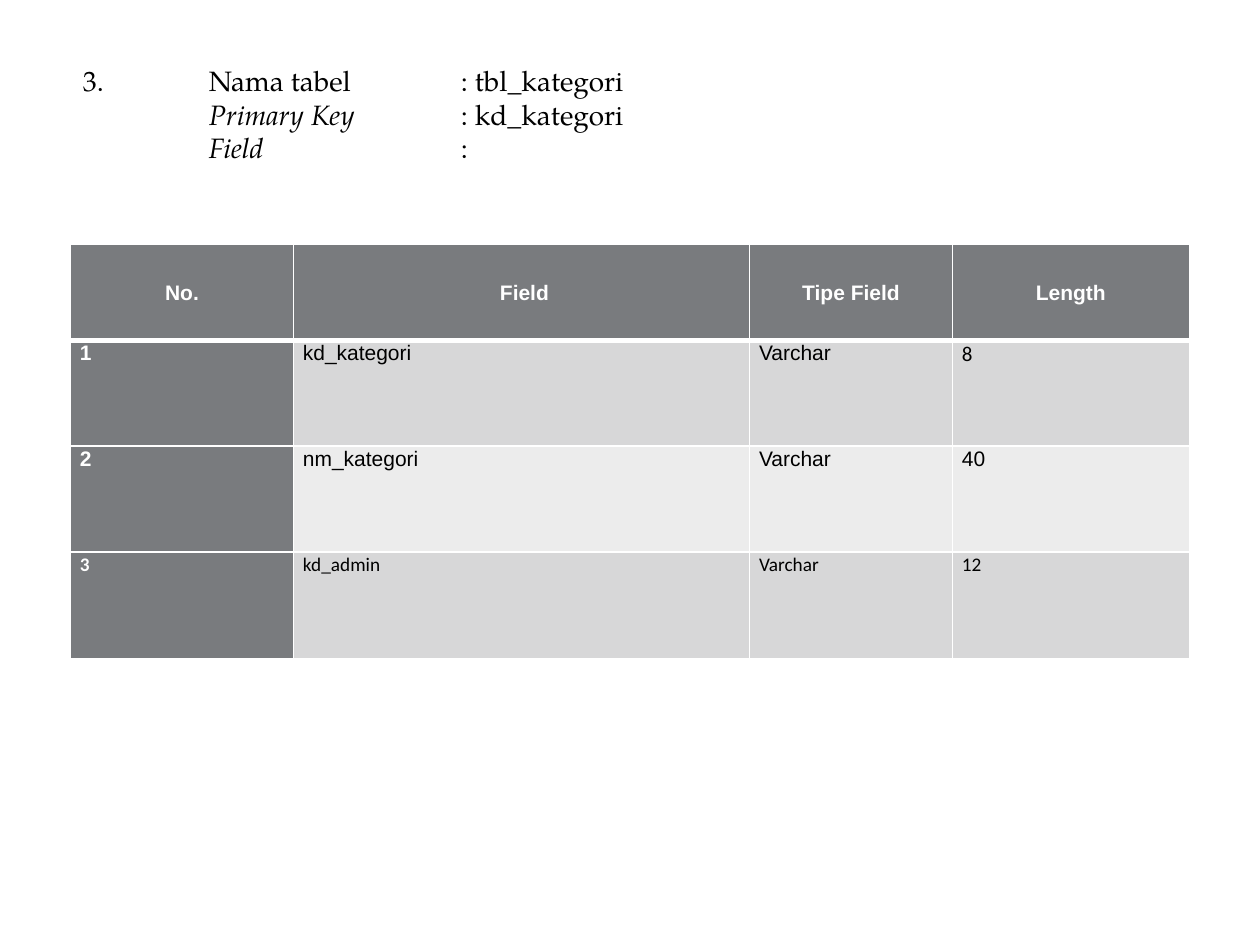
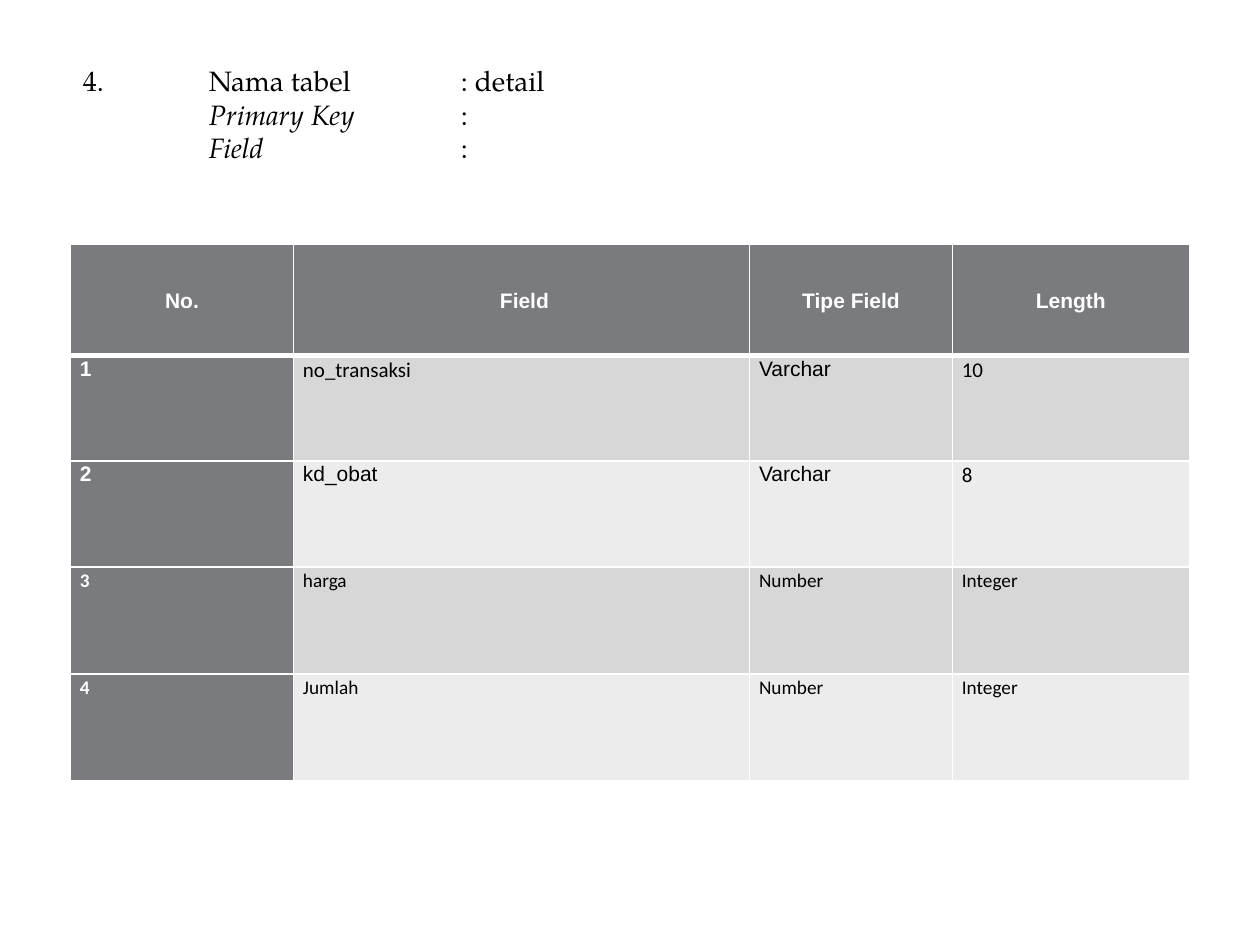
"""Build two slides that describe the fields of database tables."""
import lxml.etree
import pptx
import pptx.dml.color
import pptx.enum.text
import pptx.oxml.ns
import pptx.util

Inches = pptx.util.Inches
Align = pptx.enum.text.PP_ALIGN
Anchor = pptx.enum.text.MSO_ANCHOR
qn = pptx.oxml.ns.qn

WHITE, BLACK, GREY = "FFFFFF", "000000", "797B7E"
BANDS = ["D7D7D8", "ECECEC"]
LEFT, WIDTH = 0.56, 8.88
COLUMN_WIDTHS = [1.77, 3.62, 1.61, 1.88]
TAB_STOPS = [1, 3]
HEADINGS = ["No.", " Field", "Tipe Field", "Length"]
FONTS = {"A": "Arial", "C": "Calibri"}

TABLES = [
    {
        "number": "3.", "name": " tbl_kategori", "key": " kd_kategori",
        "row_heights": [0.76, 0.84, 0.84, 0.85],
        "fields": [
            ("AAAC", 12, ["1", "kd_kategori", "Varchar", "8"]),
            ("AAAA", 12, ["2", "nm_kategori", "Varchar", "40"]),
            ("CCCC", 11, ["3", "kd_admin", "Varchar", "12"]),
        ],
    },
    {
        "number": "4.", "name": " detail", "key": "",
        "row_heights": [0.88, 0.84, 0.84, 0.85, 0.85],
        "fields": [
            ("ACAC", 12, ["1", "no_transaksi", "Varchar", "10"]),
            ("AAAC", 12, ["2", "kd_obat", "Varchar", "8"]),
            ("CCCC", 11, ["3", "harga", "Number", "Integer"]),
            ("CCCC", 11, ["4", "Jumlah", "Number", "Integer"]),
        ],
    },
]


def color(value):
    return pptx.dml.color.RGBColor.from_string(value)


def add_text(para, text, font="TeX Gyre Pagella", size=16, fill=BLACK, bold=False, italic=False):
    span = para.add_run()
    span.text = text
    span.font.name = font
    span.font.size = pptx.util.Pt(size)
    span.font.color.rgb = color(fill)
    span.font.bold = bold
    span.font.italic = italic


deck = pptx.Presentation()
deck.slide_width, deck.slide_height = Inches(10), Inches(7.5)

for table in TABLES:
    page = deck.slides.add_slide(deck.slide_layouts[6])

    heights = table["row_heights"]
    grid = page.shapes.add_table(
        len(heights), len(HEADINGS),
        Inches(LEFT), Inches(1.94), Inches(WIDTH), Inches(sum(heights)),
    ).table
    for column, width in zip(grid.columns, COLUMN_WIDTHS):
        column.width = Inches(width)
    for row, height in zip(grid.rows, heights):
        row.height = Inches(height)

    rows = [("AAAA", 12, HEADINGS)] + table["fields"]
    for row_index, (fonts, size, texts) in enumerate(rows):
        for column_index, text in enumerate(texts):
            is_header = row_index == 0
            is_dark = is_header or column_index == 0
            cell = grid.cell(row_index, column_index)
            cell.margin_left = cell.margin_right = Inches(0.15) // 2
            cell.margin_top = cell.margin_bottom = 0
            cell.vertical_anchor = Anchor.MIDDLE if is_header else Anchor.TOP
            cell.fill.solid()
            cell.fill.fore_color.rgb = color(GREY if is_dark else BANDS[(row_index - 1) % 2])

            para = cell.text_frame.paragraphs[0]
            para.alignment = Align.CENTER if is_header else Align.JUSTIFY
            para.line_spacing = 1.07
            add_text(para, text, font=FONTS[fonts[column_index]], size=size,
                     fill=WHITE if is_dark else BLACK, bold=is_dark)

            thick_side = {0: "lnB", 1: "lnT"}.get(row_index)
            properties = cell._tc.get_or_add_tcPr()
            for position, side in enumerate(["lnL", "lnR", "lnT", "lnB"]):
                points = 3 if side == thick_side else 1
                line = lxml.etree.Element(qn("a:" + side), w=str(pptx.util.Pt(points)))
                paint = lxml.etree.SubElement(line, qn("a:solidFill"))
                lxml.etree.SubElement(paint, qn("a:srgbClr"), val=WHITE)
                properties.insert(position, line)

    box = page.shapes.add_textbox(Inches(LEFT), Inches(0.45), Inches(WIDTH), Inches(0.91))
    frame = box.text_frame
    frame.word_wrap = True
    frame.auto_size = pptx.enum.text.MSO_AUTO_SIZE.SHAPE_TO_FIT_TEXT
    frame.vertical_anchor = Anchor.MIDDLE
    add_text(frame.paragraphs[0], f"{table['number']}\tNama tabel\t:{table['name']}")
    for label, value in [("Primary Key", table["key"]), ("Field", "")]:
        para = frame.add_paragraph()
        add_text(para, f"\t{label}\t", italic=True)
        add_text(para, ":" + value)
    for para in frame.paragraphs:
        stops = lxml.etree.SubElement(para._p.get_or_add_pPr(), qn("a:tabLst"))
        for stop in TAB_STOPS:
            lxml.etree.SubElement(stops, qn("a:tab"), pos=str(Inches(stop)), algn="l")

deck.save("out.pptx")
